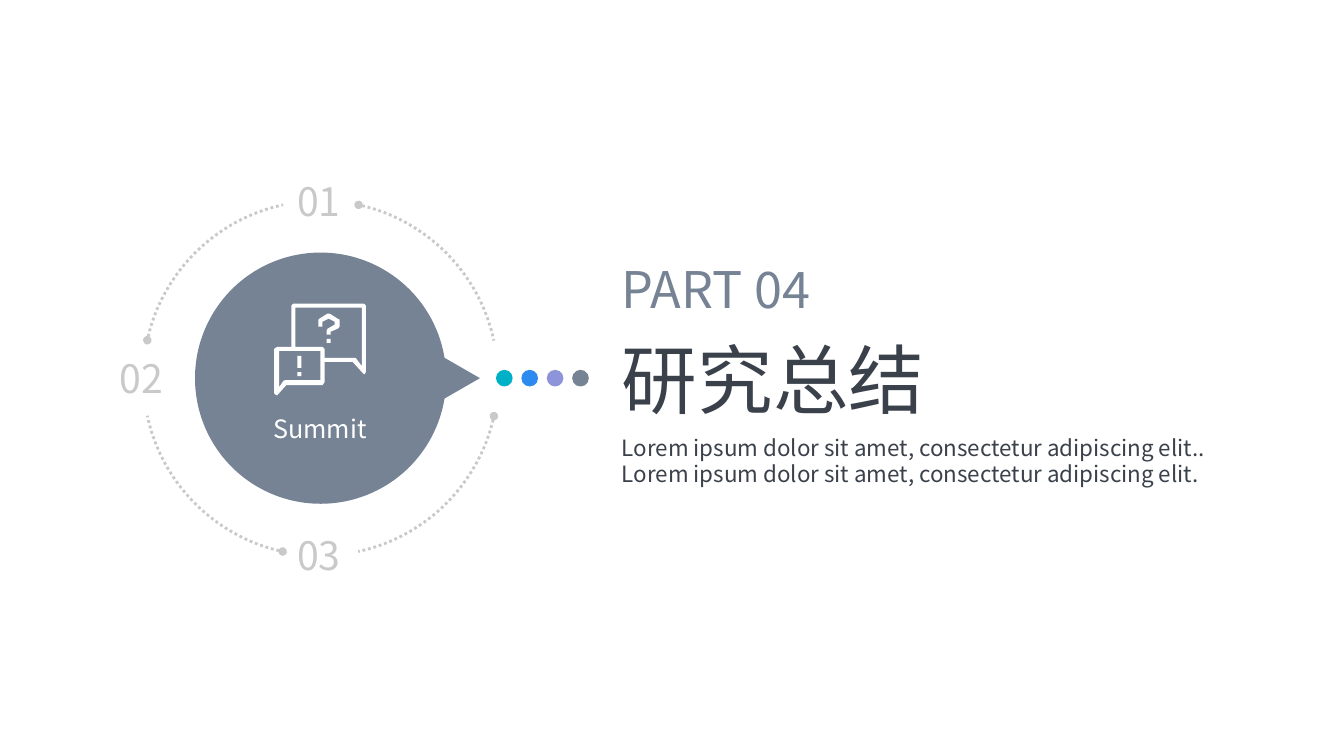
from dataclasses import dataclass

from lxml import etree
from pptx import Presentation
from pptx.dml.color import RGBColor
from pptx.enum.dml import MSO_LINE
from pptx.enum.shapes import MSO_SHAPE
from pptx.enum.text import MSO_ANCHOR, MSO_AUTO_SIZE, PP_ALIGN
from pptx.oxml.ns import qn
from pptx.shapes.autoshape import Shape
from pptx.slide import Slide
from pptx.util import Cm, Pt

ELLIPSE, ARC, TRIANGLE = MSO_SHAPE.OVAL, MSO_SHAPE.ARC, MSO_SHAPE.ISOSCELES_TRIANGLE
LEFT, CENTER = PP_ALIGN.LEFT, PP_ALIGN.CENTER
TOP = MSO_ANCHOR.TOP
GROW, FIXED = MSO_AUTO_SIZE.SHAPE_TO_FIT_TEXT, MSO_AUTO_SIZE.NONE
DOTTED = MSO_LINE.ROUND_DOT


@dataclass(frozen=True)
class Theme:
    font: str = "Noto Sans CJK SC"
    slate: str = "768395"
    ink: str = "3A414B"
    pale: str = "C9C9C9"
    white: str = "FFFFFF"
    dots: tuple[str, ...] = ("00B0C7", "2D8AEF", "8E94DA", "768395")
    title_size: int = 54
    part_size: int = 36
    number_size: int = 28
    label_size: int = 18
    body_size: int = 16


@dataclass(frozen=True)
class Box:
    """Left, top, width and height in centimetres."""
    left: float
    top: float
    width: float
    height: float


@dataclass(frozen=True)
class Label:
    text: str
    box: Box
    size: int
    color: str
    align: PP_ALIGN = LEFT
    wrap: bool = False


THEME = Theme()
CENTER_X, CENTER_Y = 8.08, 9.53
RING, DISC = 8.94, 6.33
ARC_START, ARC_END = 282.37, 347.79  # degrees clockwise from the right
DOT_SIZE, FIRST_DOT_X, DOT_STEP = 0.42, 12.71, 0.64
NUMBER_WIDTH, NUMBER_HEIGHT = 1.68, 1.45
TEXT_LEFT = 15.42

# Speech bubble icon: closed outlines on a grid 91 units wide
ICON_LEFT, ICON_TOP, ICON_WIDTH, ICON_UNITS = 6.91, 7.65, 2.31, 91
ICON_OUTLINES = (
    # both bubbles
    ((89, 0), (19, 0), (17, 2), (17, 43), (3, 43), (0, 45), (0, 89), (2, 91),
     (3, 91), (4, 90), (12, 81), (48, 81), (50, 78), (50, 58), (78, 58),
     (88, 69), (89, 70), (90, 70), (91, 68), (91, 2)),
    # openings of the small and the large bubble
    ((46, 76), (11, 76), (9, 77), (5, 83), (5, 47), (46, 47)),
    ((87, 62), (81, 54), (79, 54), (50, 54), (50, 45), (48, 43), (21, 43),
     (21, 4), (87, 4)),
    # exclamation mark
    ((27, 52), (23, 52), (23, 64), (27, 64)),
    ((27, 68), (23, 68), (23, 72), (27, 72)),
    # question mark
    ((48, 18), (54, 15), (60, 18), (60, 21), (53, 25), (52, 27), (52, 31),
     (56, 31), (56, 28), (63, 25), (65, 23), (65, 16), (63, 15), (55, 10),
     (53, 10), (45, 15), (44, 16), (44, 23), (48, 23)),
    ((52, 39), (56, 39), (56, 35), (52, 35)),
)


def rgb(color: str) -> RGBColor:
    return RGBColor.from_string(color)


def place(shape: Shape, box: Box) -> None:
    shape.left, shape.top = Cm(box.left), Cm(box.top)
    shape.width, shape.height = Cm(box.width), Cm(box.height)


def paint(shape: Shape, color: str) -> None:
    shape.shadow.inherit = False
    shape.fill.solid()
    shape.fill.fore_color.rgb = rgb(color)
    shape.line.fill.background()


def add_centered(slide: Slide, kind: MSO_SHAPE, x: float, y: float,
                 width: float, height: float) -> Shape:
    return slide.shapes.add_shape(kind, Cm(x - width / 2), Cm(y - height / 2),
                                  Cm(width), Cm(height))


def write(shape: Shape, label: Label) -> None:
    place(shape, label.box)
    frame = shape.text_frame
    frame.text = label.text
    frame.word_wrap = label.wrap
    frame.vertical_anchor = TOP
    paragraph = frame.paragraphs[0]
    paragraph.alignment = label.align
    paragraph.space_before = Pt(0)
    font = paragraph.font
    font.name, font.size = THEME.font, Pt(label.size)
    font.color.rgb = rgb(label.color)
    defaults = paragraph._p.pPr.find(qn("a:defRPr"))
    etree.SubElement(defaults, qn("a:ea"), typeface=THEME.font)


def add_label(slide: Slide, label: Label) -> None:
    shape = slide.shapes.add_textbox(0, 0, 0, 0)
    write(shape, label)
    shape.text_frame.auto_size = GROW


def add_ring(slide: Slide) -> None:
    for rotation in range(0, 360, 90):
        arc = add_centered(slide, ARC, CENTER_X, CENTER_Y, RING, RING)
        # One adjustment unit is 100000/60000 of a degree
        arc.adjustments[0] = ARC_START * 0.6
        arc.adjustments[1] = ARC_END * 0.6
        arc.rotation = rotation
        arc.shadow.inherit = False
        arc.fill.background()
        arc.line.color.rgb = rgb(THEME.pale)
        arc.line.width = Pt(2)
        arc.line.dash_style = DOTTED
        line = arc._element.spPr.find(qn("a:ln"))
        etree.SubElement(line, qn("a:headEnd"), type="oval")


def add_numbers(slide: Slide) -> None:
    radius = RING / 2
    positions = (("01", 0, -radius), ("02", -radius, 0), ("03", 0, radius))
    for text, offset_x, offset_y in positions:
        box = Box(CENTER_X + offset_x - NUMBER_WIDTH / 2,
                  CENTER_Y + offset_y - NUMBER_HEIGHT / 2,
                  NUMBER_WIDTH, NUMBER_HEIGHT)
        add_label(slide, Label(text, box, THEME.number_size, THEME.pale))


def add_icon(slide: Slide) -> None:
    first, *others = ICON_OUTLINES
    builder = slide.shapes.build_freeform(*first[0], scale=Cm(ICON_WIDTH) / ICON_UNITS)
    builder.add_line_segments(first[1:], close=True)
    for outline in others:
        builder.move_to(*outline[0])
        builder.add_line_segments(outline[1:], close=True)
    paint(builder.convert_to_shape(Cm(ICON_LEFT), Cm(ICON_TOP)), THEME.white)


def main() -> None:
    presentation = Presentation()
    presentation.slide_width, presentation.slide_height = Cm(33.87), Cm(19.05)
    slide = presentation.slides.add_slide(presentation.slide_layouts[0])

    # Title and description
    title, description = slide.placeholders
    write(title, Label("研究总结", Box(TEXT_LEFT, 8.26, 10, 2.57),
                       THEME.title_size, THEME.ink, wrap=True))
    write(description, Label(
        "Lorem ipsum dolor sit amet, consectetur adipiscing elit.. "
        "Lorem ipsum dolor sit amet, consectetur adipiscing elit.",
        Box(TEXT_LEFT, 10.8, 16, 1.63), THEME.body_size, THEME.ink, wrap=True))
    for placeholder in (title, description):
        placeholder.text_frame.auto_size = FIXED

    # Disc with its pointer, inside the dotted ring
    paint(add_centered(slide, ELLIPSE, CENTER_X, CENTER_Y, DISC, DISC), THEME.slate)
    pointer = add_centered(slide, TRIANGLE, 11.09, CENTER_Y, 2.31, 2.01)
    pointer.rotation = 90
    paint(pointer, THEME.slate)
    add_ring(slide)
    add_numbers(slide)
    add_icon(slide)

    # Row of coloured dots
    for index, color in enumerate(THEME.dots):
        dot = add_centered(slide, ELLIPSE, FIRST_DOT_X + index * DOT_STEP,
                           CENTER_Y, DOT_SIZE, DOT_SIZE)
        paint(dot, color)

    # Disc caption and part number
    add_label(slide, Label("Summit", Box(5.92, 10.29, 4.29, 1.02),
                           THEME.label_size, THEME.white, CENTER, wrap=True))
    add_label(slide, Label("PART 04", Box(TEXT_LEFT, 6.38, 5.56, 1.8),
                           THEME.part_size, THEME.slate))

    presentation.save("out.pptx")


if __name__ == "__main__":
    main()
